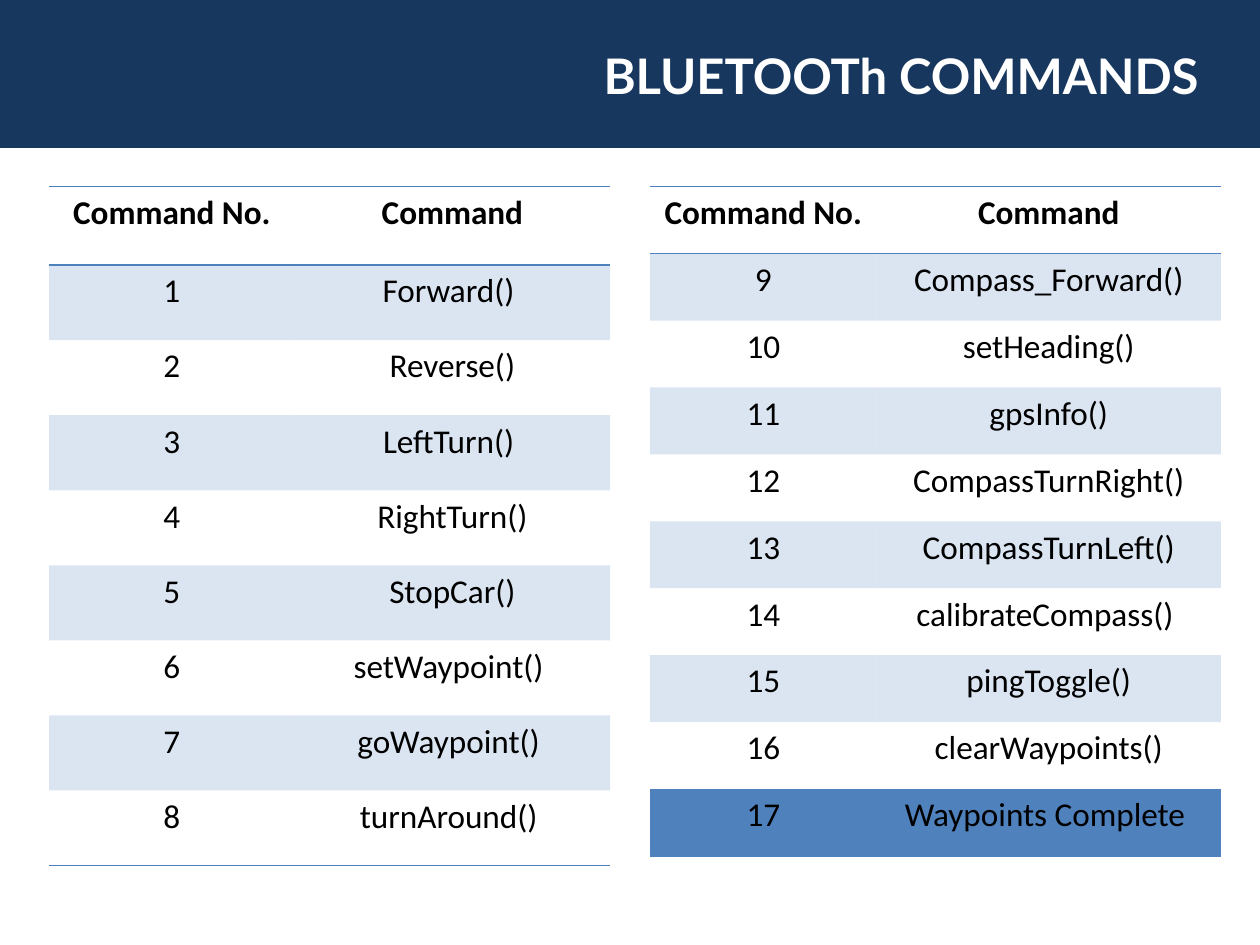
import dataclasses

import lxml.etree
import pptx
import pptx.dml.color
import pptx.enum.shapes
import pptx.enum.text
import pptx.oxml.ns
import pptx.util

Pt = pptx.util.Pt
RGBColor = pptx.dml.color.RGBColor
Align = pptx.enum.text.PP_ALIGN
qn = pptx.oxml.ns.qn

PLAIN_TABLE_STYLE = "{2D5ABB26-0587-4C30-8999-92F81FD0307C}"


@dataclasses.dataclass(frozen=True)
class Theme:
    band: str = "17375E"
    accent: str = "4F81BD"
    stripe_opacity: int = 20
    rule_width: float = 1
    title: dict = dataclasses.field(default_factory=lambda: {
        "name": "Lato", "size": Pt(28), "bold": True, "color": "FFFFFF"})
    header: dict = dataclasses.field(default_factory=lambda: {
        "name": "Calibri", "size": Pt(19), "bold": True, "color": "000000"})
    body: dict = dataclasses.field(default_factory=lambda: {
        "name": "Calibri", "size": Pt(19), "bold": False, "color": "000000"})


THEME = Theme()

HEADINGS = ("Command No.", "Command")
FIRST_COMMANDS = (
    "Forward() ", "Reverse()", "LeftTurn() ", "RightTurn()", "StopCar()",
    "setWaypoint() ", "goWaypoint() ", "turnAround() ",
)
LATER_COMMANDS = (
    "Compass_Forward()", "setHeading()", "gpsInfo()", "CompassTurnRight()",
    "CompassTurnLeft()", "calibrateCompass() ", "pingToggle()",
    "clearWaypoints()", "Waypoints Complete ",
)


def write_text(text_frame, text, style, alignment):
    paragraph = text_frame.paragraphs[0]
    paragraph.alignment = alignment
    run = paragraph.add_run()
    run.text = text
    for attribute, value in style.items():
        if attribute == "color":
            run.font.color.rgb = RGBColor.from_string(value)
        else:
            setattr(run.font, attribute, value)


def add_band(slide, width, height):
    band = slide.shapes.add_shape(
        pptx.enum.shapes.MSO_SHAPE.RECTANGLE, 0, 0, width, height)
    band.shadow.inherit = False
    band.fill.solid()
    band.fill.fore_color.rgb = RGBColor.from_string(THEME.band)
    band.line.fill.background()


def add_title(slide, text):
    box = slide.shapes.add_textbox(Pt(22.3), Pt(22.3), Pt(669.6), Pt(41))
    box.text_frame.word_wrap = True
    write_text(box.text_frame, text, THEME.title, Align.RIGHT)


def add_rule(cell, side):
    """Draw one cell border; side is "lnT" or "lnB"."""
    line = lxml.etree.SubElement(
        cell._tc.get_or_add_tcPr(), qn(f"a:{side}"), w=str(Pt(THEME.rule_width)))
    fill = lxml.etree.SubElement(line, qn("a:solidFill"))
    lxml.etree.SubElement(fill, qn("a:srgbClr"), val=THEME.accent)


def fill_stripe(cell):
    cell.fill.solid()
    cell.fill.fore_color.rgb = RGBColor.from_string(THEME.accent)
    color = cell._tc.tcPr.find(".//" + qn("a:srgbClr"))
    lxml.etree.SubElement(
        color, qn("a:alpha"), val=str(THEME.stripe_opacity * 1000))


def add_command_table(slide, left, column_widths, header_height, row_height,
                      first_number, commands):
    rows = [HEADINGS] + [
        (str(number), command)
        for number, command in enumerate(commands, first_number)]
    heights = [header_height] + [row_height] * len(commands)
    table = slide.shapes.add_table(
        len(rows), len(HEADINGS), Pt(left), Pt(106.7),
        Pt(sum(column_widths)), Pt(sum(heights))).table
    table._tbl.tblPr.find(qn("a:tableStyleId")).text = PLAIN_TABLE_STYLE
    for column, width in zip(table.columns, column_widths):
        column.width = Pt(width)
    for row_index, (texts, height) in enumerate(zip(rows, heights)):
        table.rows[row_index].height = Pt(height)
        is_header = row_index == 0
        for column_index, text in enumerate(texts):
            cell = table.cell(row_index, column_index)
            write_text(cell.text_frame, text,
                       THEME.header if is_header else THEME.body, Align.CENTER)
            if is_header:
                add_rule(cell, "lnT")
            if is_header or row_index == len(commands):
                add_rule(cell, "lnB")
            if row_index % 2:
                fill_stripe(cell)
            else:
                cell.fill.background()


def main():
    presentation = pptx.Presentation()
    presentation.slide_width = Pt(720)
    presentation.slide_height = Pt(540)
    slide = presentation.slides.add_slide(presentation.slide_layouts[6])

    add_command_table(slide, 28, (140.4, 180.2), 44.8, 42.9, 1, FIRST_COMMANDS)
    add_command_table(slide, 371.4, (129.6, 196.6), 38.25, 38.25,
                      len(FIRST_COMMANDS) + 1, LATER_COMMANDS)
    add_band(slide, presentation.slide_width, Pt(84.5))
    add_title(slide, "BLUETOOTh COMMANDS")
    presentation.save("out.pptx")


if __name__ == "__main__":
    main()
